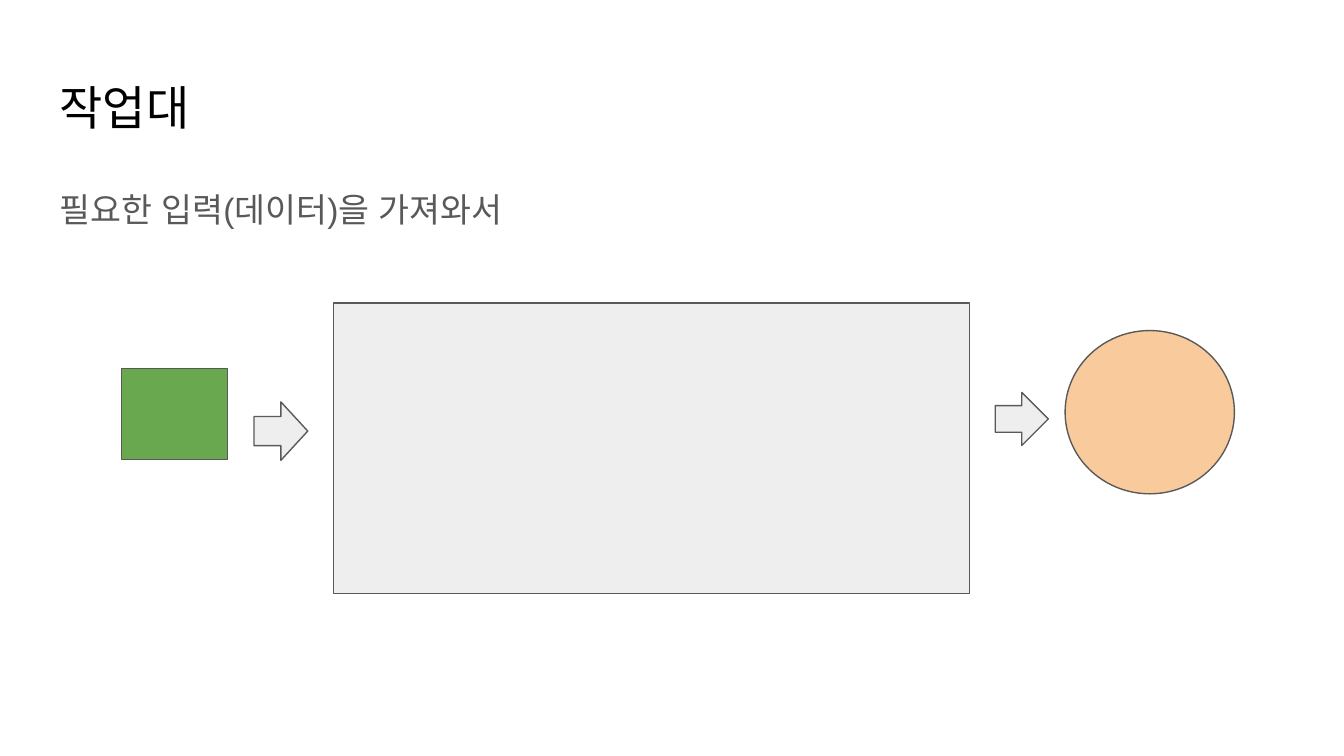
from typing import NamedTuple

from lxml.etree import SubElement
from pptx import Presentation
from pptx.dml.color import RGBColor
from pptx.enum.shapes import MSO_SHAPE as Shape
from pptx.enum.text import MSO_ANCHOR as Anchor, PP_ALIGN as Align
from pptx.oxml.ns import qn
from pptx.slide import Slide
from pptx.util import Emu, Pt

EMU_PER_PX = 4572  # 200 px to the inch
FONT = "Arial"
COLORS = {
    "title": "000000",
    "body": "595959",
    "outline": "595959",
    "bench": "EEEEEE",
    "input": "6AA84F",
    "output": "F9CB9C",
}


class Box(NamedTuple):
    left: int
    top: int
    width: int
    height: int


class Part(NamedTuple):
    kind: Shape
    box: Box
    fill: str


PARTS = [
    Part(Shape.RECTANGLE, Box(496, 451, 947, 432), "bench"),
    Part(Shape.OVAL, Box(1585, 492, 252, 243), "output"),
    Part(Shape.RIGHT_ARROW, Box(1481, 584, 79, 79), "bench"),
    Part(Shape.RECTANGLE, Box(181, 548, 158, 136), "input"),
    Part(Shape.RIGHT_ARROW, Box(378, 598, 80, 87), "bench"),
]


def px(length: int) -> Emu:
    return Emu(length * EMU_PER_PX)


def rgb(name: str) -> RGBColor:
    return RGBColor.from_string(COLORS[name])


def add_text(slide: Slide, text: str, box: Box, *, size: float, color: str,
             line_spacing: float = 1.0, space_after: float = 0) -> None:
    frame = slide.shapes.add_textbox(*map(px, box)).text_frame
    frame.word_wrap = True
    frame.vertical_anchor = Anchor.TOP
    frame.margin_left = frame.margin_right = px(20)
    frame.margin_top = frame.margin_bottom = px(20)
    paragraph = frame.paragraphs[0]
    paragraph.alignment = Align.LEFT
    paragraph.line_spacing = line_spacing
    paragraph.space_after = Pt(space_after)
    run = paragraph.add_run()
    run.text = text
    run.font.size = Pt(size)
    run.font.name = FONT
    run.font.color.rgb = rgb(color)
    # Hangul takes its typeface from the East Asian font slot
    SubElement(run.font._element, qn("a:ea"), typeface=FONT)


def add_part(slide: Slide, part: Part) -> None:
    shape = slide.shapes.add_shape(part.kind, *map(px, part.box))
    shape.shadow.inherit = False
    shape.fill.solid()
    shape.fill.fore_color.rgb = rgb(part.fill)
    shape.line.color.rgb = rgb("outline")
    shape.line.width = Pt(0.75)


def main() -> None:
    deck = Presentation()
    deck.slide_width, deck.slide_height = px(2000), px(1125)
    slide = deck.slides.add_slide(deck.slide_layouts[6])
    add_text(slide, "작업대", Box(69, 97, 1864, 126), size=25.2, color="title")
    add_text(slide, "필요한 입력(데이터)을 가져와서", Box(69, 252, 1864, 748),
             size=18, color="body", line_spacing=1.15, space_after=12)
    for part in PARTS:
        add_part(slide, part)
    deck.save("out.pptx")


if __name__ == "__main__":
    main()
